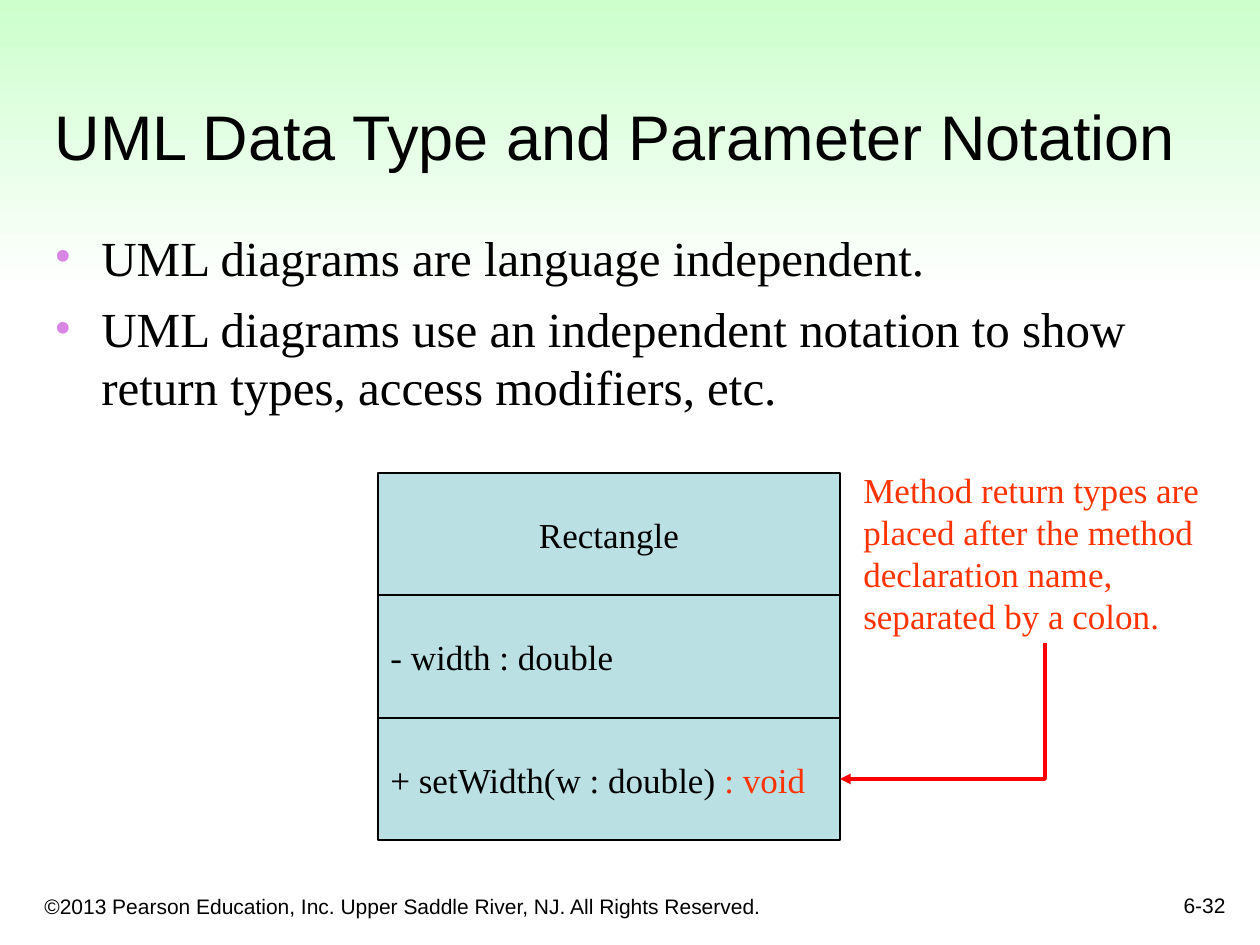
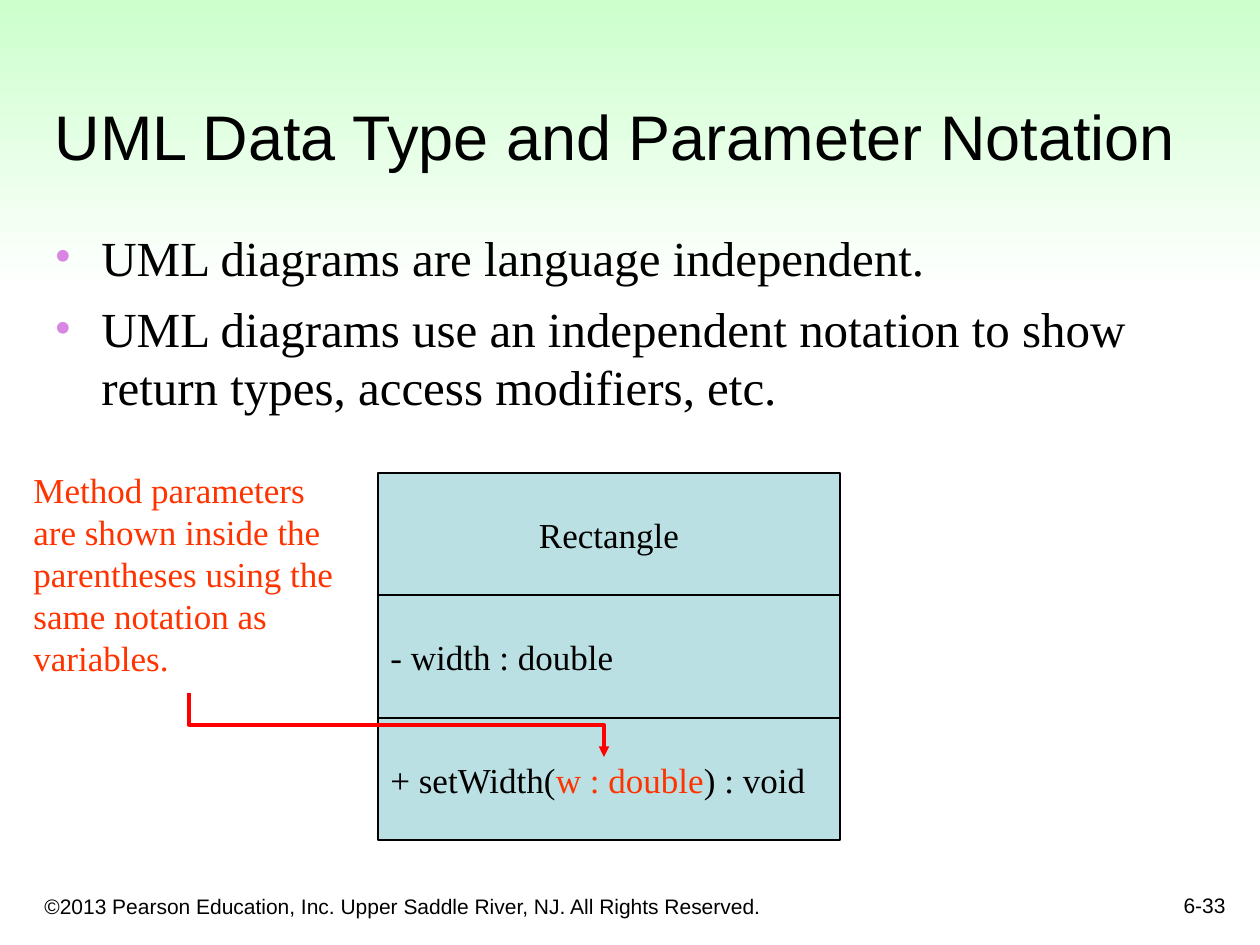
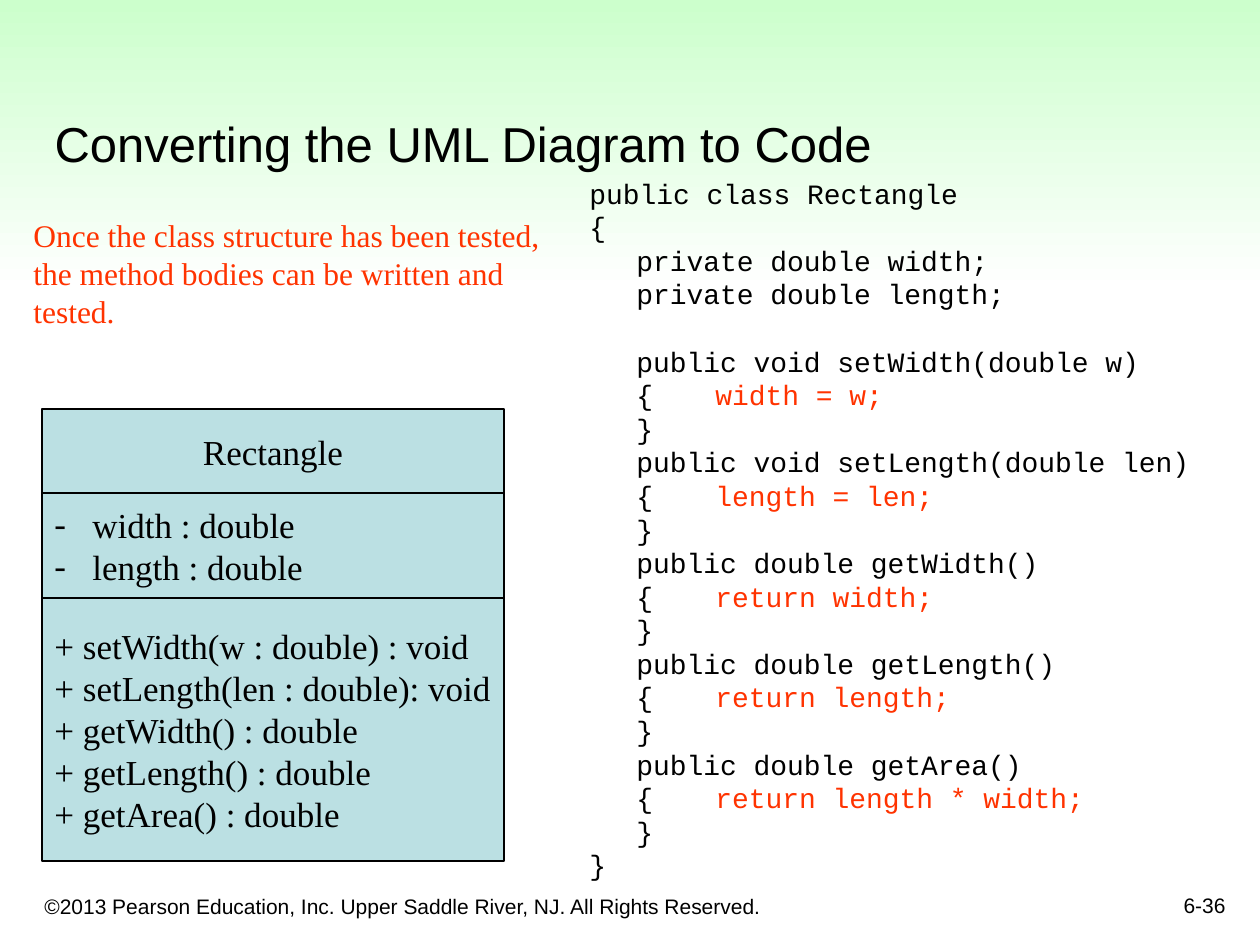
from lxml.etree import SubElement
from pptx import Presentation
from pptx.dml.color import RGBColor
from pptx.enum.shapes import MSO_CONNECTOR, MSO_SHAPE
from pptx.enum.text import MSO_ANCHOR as ANCHOR, MSO_AUTO_SIZE as FIT, PP_ALIGN as ALIGN
from pptx.oxml.ns import qn
from pptx.util import Pt

SANS, SERIF, MONO = "Arial", "Times New Roman", "Courier New"
BLACK, WHITE, MINT, TEAL = "000000", "FFFFFF", "CCFFCC", "BBE0E3"
ORANGE, RED, VIOLET = "FF3300", "FF0000", "D885E3"
RIGHTS = "©2013 Pearson Education, Inc. Upper Saddle River, NJ. All Rights Reserved."


def px(n):
    return round(n * 914400 / 126)


def rgb(code):
    return RGBColor.from_string(code)


class Deck:
    def __init__(self):
        self.prs = Presentation()
        self.prs.slide_width, self.prs.slide_height = px(1260), px(945)

    def start(self, title, size, page):
        """Add a slide with its band, title and footer."""
        self.slide = self.prs.slides.add_slide(self.prs.slide_layouts[5])
        self.shapes = self.slide.shapes
        self.band()
        head = self.shapes.title
        self.place(head, 42, 42, 1187, 137)
        self.fill(head, [title], size, SANS, anchor=ANCHOR.BOTTOM)
        self.text((32, 872, 766, 53), [RIGHTS], 12, SANS, anchor=ANCHOR.BOTTOM)
        self.text((976, 861, 262, 63), [page], 12, SANS,
                  anchor=ANCHOR.BOTTOM, align=ALIGN.RIGHT)

    def place(self, shape, x, y, w, h):
        shape.left, shape.top, shape.width, shape.height = map(px, (x, y, w, h))

    def band(self):
        band = self.shapes.add_shape(MSO_SHAPE.RECTANGLE, 0, 0, px(1260), px(292))
        band.shadow.inherit = False
        band.line.fill.background()
        band.fill.gradient()
        band.fill.gradient_angle = 270
        for stop, code, spot in zip(band.fill.gradient_stops, (MINT, WHITE), (0, 1)):
            stop.color.rgb, stop.position = rgb(code), spot
        self.shapes._spTree.insert(2, band._element)

    def fill(self, shape, lines, size, font, color=BLACK, anchor=ANCHOR.TOP,
             align=ALIGN.LEFT, lead=None, gap=0, mark=None, tabs=(), wrap=True):
        """Fill a shape with lines; every second part between bars is orange."""
        frame = shape.text_frame
        frame.auto_size, frame.word_wrap = FIT.NONE, wrap
        frame.vertical_anchor = anchor
        for i, line in enumerate(lines):
            para = frame.add_paragraph() if i else frame.paragraphs[0]
            para.alignment = align
            para.space_before = Pt(gap if i else 0)
            if lead:
                para.line_spacing = Pt(lead)
            if mark:
                self.bullet(para, *mark)
            if tabs:
                self.tabs(para, tabs)
            para.font.size = Pt(size)
            for k, part in enumerate(line.split("|")):
                if part:
                    run = para.add_run()
                    run.text = part
                    run.font.name, run.font.size = font, Pt(size)
                    run.font.color.rgb = rgb(ORANGE if k % 2 else color)

    def bullet(self, para, char, color, indent):
        props = para._p.get_or_add_pPr()
        props.set("marL", str(px(indent)))
        props.set("indent", str(-px(indent)))
        SubElement(SubElement(props, qn("a:buClr")), qn("a:srgbClr"), val=color)
        SubElement(props, qn("a:buFont"), typeface=SERIF)
        SubElement(props, qn("a:buChar"), char=char)

    def tabs(self, para, stops):
        tabs = SubElement(para._p.get_or_add_pPr(), qn("a:tabLst"))
        for stop in stops:
            SubElement(tabs, qn("a:tab"), pos=str(px(stop)), algn="l")

    def text(self, box, lines, size, font, **style):
        self.fill(self.shapes.add_textbox(*map(px, box)), lines, size, font, **style)

    def note(self, box, words, size=20):
        self.text(box, [words], size, SERIF, color=ORANGE, lead=size * 1.2)

    def points(self, lines):
        self.text((42, 221, 1143, 244), lines, 28, SERIF, lead=33.6, gap=7,
                  mark=("•", VIOLET, 47))

    def uml(self, x, y, rows):
        """Stack class rows, each given as height, lines and extra style."""
        for high, lines, style in rows:
            cell = self.shapes.add_shape(MSO_SHAPE.RECTANGLE, *map(px, (x, y, 462, high)))
            cell.shadow.inherit = False
            cell.fill.solid()
            cell.fill.fore_color.rgb = rgb(TEAL)
            cell.line.color.rgb, cell.line.width = rgb(BLACK), Pt(0.75)
            self.fill(cell, lines, 20, SERIF, anchor=ANCHOR.MIDDLE, lead=24,
                      wrap=False, **style)
            y += high

    def arrow(self, x1, y1, x2, y2):
        """Bent arrow that leaves downwards: one bend to the left, two to the right."""
        wide, high = abs(y2 - y1), abs(x2 - x1)
        x, y = (x1 + x2 - wide) / 2, (y1 + y2 - high) / 2
        link = self.shapes.add_connector(
            MSO_CONNECTOR.ELBOW, *map(px, (x, y, x + wide, y + high)))
        link.line.color.rgb, link.line.width = rgb(RED), Pt(2)
        props = link._element.spPr
        turn = props.find(qn("a:xfrm"))
        if x2 < x1:
            turn.set("rot", str(90 * 60000))
            props.find(qn("a:prstGeom")).set("prst", "bentConnector2")
        else:
            turn.set("rot", str(270 * 60000))
            turn.set("flipH", "1")
        SubElement(props.find(qn("a:ln")), qn("a:tailEnd"), type="triangle")
        SubElement(props, qn("a:effectLst"))


CENTER = {"align": ALIGN.CENTER}
NOTATION = [
    ("6-32", "+ setWidth(w : double) |: void",
     (851, 462, 388, 181),
     "Method return types are placed after the method declaration name, "
     "separated by a colon.",
     (1045, 643, 840, 779)),
    ("6-33", "+ setWidth(|w : double|) : void",
     (21, 462, 347, 223),
     "Method parameters are shown inside the parentheses using the same "
     "notation as variables.",
     (189, 693, 604, 757)),
]
METHODS = [
    ("void setWidth(double w)", "width = w;"),
    ("void setLength(double len)", "length = len;"),
    ("double getWidth()", "return width;"),
    ("double getLength()", "return length;"),
    ("double getArea()", "return length * width;"),
]


def main():
    deck = Deck()
    for page, method, box, words, ends in NOTATION:
        deck.start("UML Data Type and Parameter Notation", 36, page)
        deck.points([
            "UML diagrams are language independent.",
            "UML diagrams use an independent notation to show return types, "
            "access modifiers, etc."])
        deck.uml(378, 473, [(122, ["Rectangle"], CENTER),
                            (123, ["- width : double"], {}),
                            (122, [method], {})])
        deck.note(box, words)
        deck.arrow(*ends)

    deck.start("Converting the UML Diagram to Code", 28, "6-36")
    code = ["public class Rectangle", "{", "\tprivate double width;",
            "\tprivate double length;", ""]
    for name, body in METHODS:
        code += [f"\tpublic {name}", f"\t{{\t|{body}", "\t}"]
    deck.text((577, 170, 662, 752), code + ["}"], 16, MONO, lead=19.2,
              tabs=(47, 126, 252))
    deck.uml(42, 409, [
        (84, ["Rectangle"], CENTER),
        (105, ["width : double", "length : double"], {"mark": ("-", BLACK, 38)}),
        (263, ["+ setWidth(w : double) : void", "+ setLength(len : double): void",
               "+ getWidth() : double", "+ getLength() : double",
               "+ getArea() : double"], {})])
    deck.note((21, 210, 549, 126),
              "Once the class structure has been tested, the method bodies can be "
              "written and tested.", 18)
    deck.prs.save("out.pptx")


if __name__ == "__main__":
    main()
